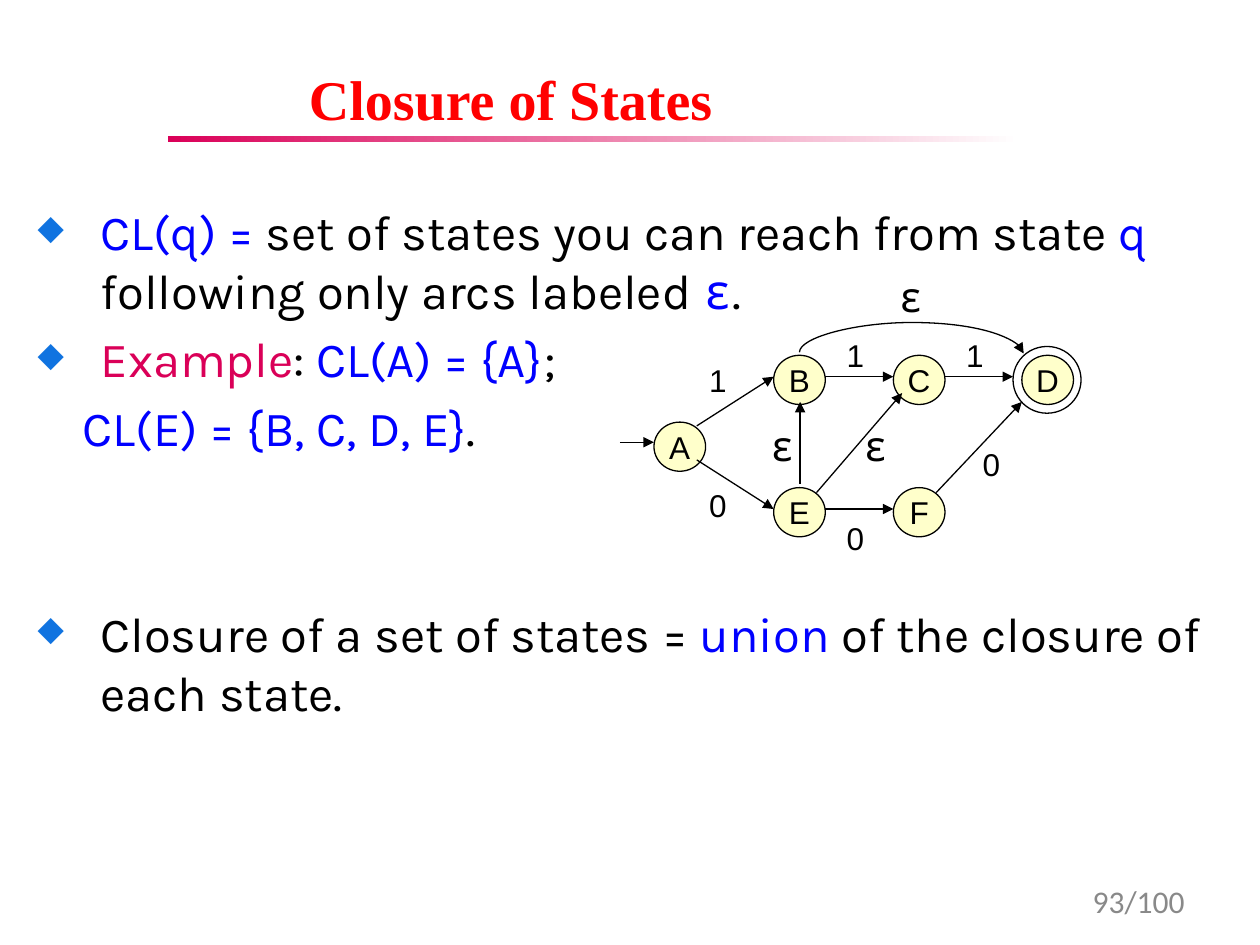
"""Build the slide on the closure of states in an automaton."""
import pptx
import pptx.dml.color
import pptx.enum.shapes
import pptx.enum.text
import pptx.oxml
import pptx.oxml.ns
import pptx.util

Inches = pptx.util.Inches
Pt = pptx.util.Pt
Align = pptx.enum.text.PP_ALIGN
Anchor = pptx.enum.text.MSO_ANCHOR
Shape = pptx.enum.shapes.MSO_SHAPE
Link = pptx.enum.shapes.MSO_CONNECTOR
NS = pptx.oxml.ns.nsdecls("a")

theme = {
    "black": "000000", "blue": "0000FF", "pink": "DA0058", "red": "FF0000",
    "gray": "898989", "white": "FFFFFF", "node": "FFFF99", "bullet": "1073E0",
    "body": ("Karla", 28), "greek": ("Noto Sans Mono", 28),
    "title": ("Times New Roman", 32), "label": ("Arial", 18),
    "arc": ("Noto Sans Mono", 24), "page": ("Calibri", 18),
}


def tint(name):
    return pptx.dml.color.RGBColor.from_string(theme[name])


def write(para, runs, form):
    for key, value in form.items():
        setattr(para, key, value)
    for text, color, style in runs:
        run = para.add_run()
        run.text = text
        name, size = theme[style]
        for key, value in {"name": name, "size": Pt(size), "bold": style == "title"}.items():
            setattr(run.font, key, value)
        run.font.color.rgb = tint(color)


deck = pptx.Presentation()
deck.slide_width, deck.slide_height = Inches(10), Inches(7.5)
slide = deck.slides.add_slide(deck.slide_layouts[6])
shapes = slide.shapes

rule = shapes.add_shape(Shape.RECTANGLE, Inches(1.33), Inches(1.08), Inches(6.76), Inches(0.05))
rule.shadow.inherit = False
rule.line.fill.background()
rule.fill.gradient()
rule.fill.gradient_angle = 0
for stop, color in zip(rule.fill.gradient_stops, ("pink", "white")):
    stop.color.rgb = tint(color)

points = [
    (True, 0, [("CL(q) = ", "blue", "body"),
               ("set of states you can reach from state ", "black", "body"),
               ("q", "blue", "body"),
               (" following only arcs labeled ", "black", "body"),
               ("ε", "blue", "greek"), (".", "black", "body")]),
    (True, 5.6, [("Example", "pink", "body"), (": ", "black", "body"),
                 ("CL(A) = {A}", "blue", "body"), (";", "black", "body")]),
    (False, 5.6, [("CL(E) = {B, C, D, E}", "blue", "body"), (".", "black", "body")]),
    (True, 84, [("Closure of a set of states = ", "black", "body"),
                ("union", "blue", "body"),
                (" of the closure of each state.", "black", "body")]),
]
frame = shapes.add_textbox(Inches(0.2), Inches(1.55), Inches(9.69), Inches(5.36)).text_frame
frame.word_wrap = True
for rank, (mark, gap, runs) in enumerate(points):
    para = frame.add_paragraph() if rank else frame.paragraphs[0]
    props = para._p.get_or_add_pPr()
    left, first = (0.5, -0.5) if mark else (0.36, 0)
    props.set("marL", str(Inches(left)))
    props.set("indent", str(Inches(first)))
    if mark:
        for part in (f'<a:buClr {NS}><a:srgbClr val="{theme["bullet"]}"/></a:buClr>',
                     f'<a:buSzPct {NS} val="70000"/>', f'<a:buChar {NS} char="◆"/>'):
            props.append(pptx.oxml.parse_xml(part))
    write(para, runs, {"space_before": Pt(gap)})

wide, high = 0.41, 0.39
nodes = {"A": (5.19, 3.35), "B": (6.14, 2.82), "C": (7.09, 2.82),
         "D": (8.11, 2.82), "E": (6.14, 3.87), "F": (7.09, 3.87)}
rings = [(name, x, y, wide, high) for name, (x, y) in nodes.items()]
for name, *place in rings + [("", 8.04, 2.75, 0.54, 0.53)]:
    ring = shapes.add_shape(Shape.OVAL, *map(Inches, place))
    ring.shadow.inherit = False
    ring.line.color.rgb = tint("black")
    ring.line.width = Pt(0.75)
    if not name:
        ring.fill.background()
        continue
    ring.fill.solid()
    ring.fill.fore_color.rgb = tint("node")
    shade = ring._element.spPr.find(".//" + pptx.oxml.ns.qn("a:srgbClr"))
    shade.append(pptx.oxml.parse_xml(f'<a:alpha {NS} val="50000"/>'))
    ring.text_frame.word_wrap = False
    ring.text_frame.vertical_anchor = Anchor.MIDDLE
    write(ring.text_frame.paragraphs[0], [(name, "black", "label")], {"alignment": Align.CENTER})

arcs = [
    (4.92, 3.51, 5.19, 3.51), (5.53, 3.38, 6.14, 2.99), (5.53, 3.65, 6.14, 4.04),
    (6.55, 2.99, 7.09, 2.99), (6.35, 3.84, 6.35, 3.19), (6.48, 3.91, 7.16, 3.12),
    (6.55, 4.04, 7.09, 4.04), (7.5, 2.99, 8.04, 2.99), (7.43, 3.91, 8.11, 3.19),
]
curve = (7.23, 3.69, 7.24, 1.91)
for ends in arcs + [curve]:
    bent = ends == curve
    arc = shapes.add_connector(Link.CURVE if bent else Link.STRAIGHT, *map(Inches, ends))
    arc.line.color.rgb = tint("black")
    arc.line.width = Pt(0.75)
    props = arc._element.spPr
    arc.line._get_or_add_ln().append(pptx.oxml.parse_xml(f'<a:tailEnd {NS} type="triangle"/>'))
    props.append(pptx.oxml.parse_xml(f"<a:effectLst {NS}/>"))
    if bent:
        props.find(pptx.oxml.ns.qn("a:xfrm")).set("rot", "5400000")
        guide = f'<a:gd {NS} name="adj1" fmla="val -2400000"/>'
        props.find(".//" + pptx.oxml.ns.qn("a:avLst")).append(pptx.oxml.parse_xml(guide))

labels = {
    "1": [(5.53, 2.82), (6.62, 2.62), (7.57, 2.62)],
    "0": [(5.53, 3.81), (7.7, 3.48), (6.62, 4.07)],
    "ε": [(7.03, 2.1), (6.01, 3.28), (6.75, 3.28)],
}
boxes = [(text, "black", "arc" if text == "ε" else "label", (x, y, 0.38, 0.5), {}, {})
         for text, spots in labels.items() for x, y in spots]
boxes += [
    ("Closure of States", "red", "title", (2.39, 0.49, 3.33, 0.59), {"alignment": Align.CENTER},
     {"margin_left": Inches(0.05), "margin_right": Inches(0.05),
      "margin_top": Inches(0.02), "margin_bottom": Inches(0.02)}),
    ("93/100", "gray", "page", (7.17, 6.95, 2.33, 0.4), {"alignment": Align.RIGHT},
     {"vertical_anchor": Anchor.MIDDLE, "word_wrap": True}),
]
for text, color, style, place, form, fit in boxes:
    frame = shapes.add_textbox(*map(Inches, place)).text_frame
    for key, value in {"word_wrap": False, **fit}.items():
        setattr(frame, key, value)
    write(frame.paragraphs[0], [(text, color, style)], form)

deck.save("out.pptx")
